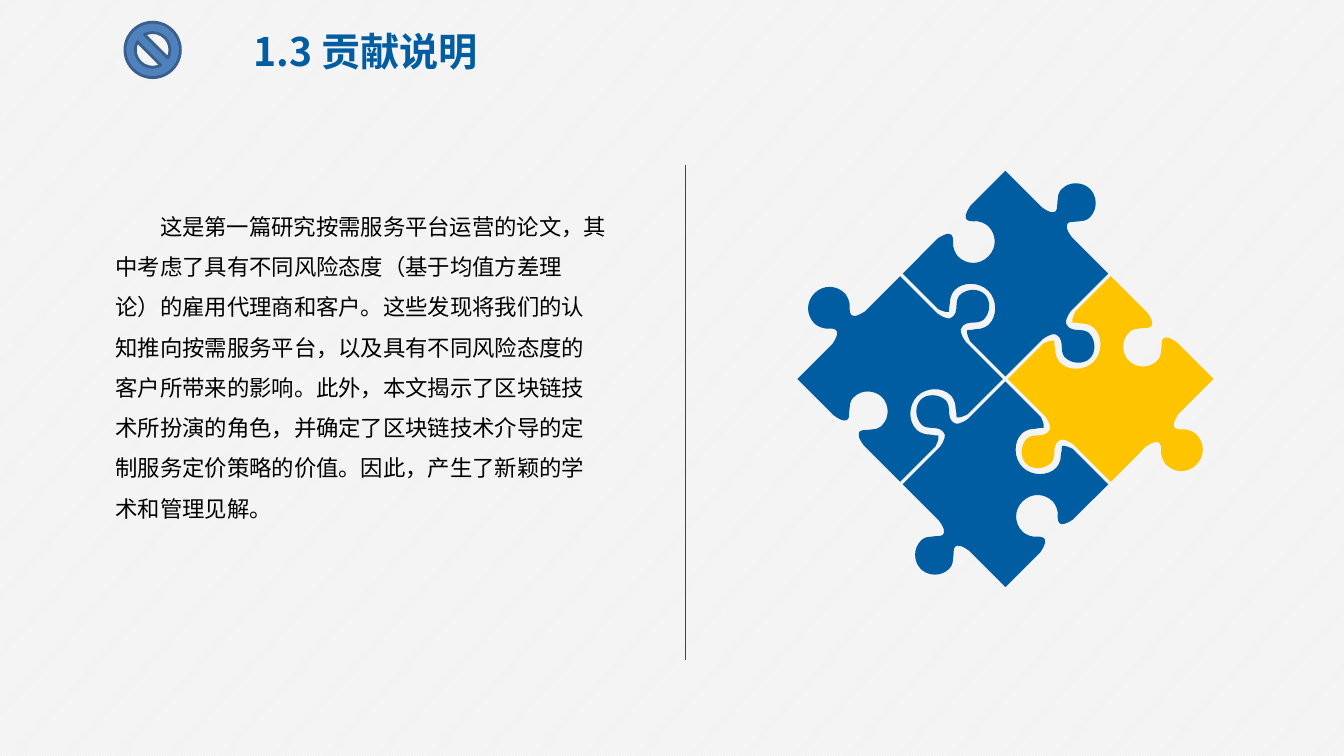
from dataclasses import dataclass

from pptx import Presentation
from pptx import util as u
from pptx.dml.color import RGBColor
from pptx.enum import dml, shapes, text
from pptx.oxml import ns, xmlchemy

Point = tuple[float, float]
Curve = tuple[Point, Point, Point]


@dataclass(frozen=True)
class Theme:
    blue: RGBColor = RGBColor(0x00, 0x5D, 0xA2)
    yellow: RGBColor = RGBColor(0xFF, 0xC4, 0x00)
    badge: RGBColor = RGBColor(0x4F, 0x81, 0xBD)
    badge_edge: RGBColor = RGBColor(0x3A, 0x5F, 0x8C)
    rule: RGBColor = RGBColor(0x41, 0x44, 0x55)
    ink: RGBColor = RGBColor(0, 0, 0)
    paper: RGBColor = RGBColor(0xF2, 0xF2, 0xF2)
    stripe: RGBColor = RGBColor(0xFF, 0xFF, 0xFF)
    heading_font: str = "Noto Sans CJK SC"
    body_font: str = "Calibri"
    heading_size: float = 28
    body_size: float = 16


@dataclass(frozen=True)
class Area:
    """Left, top, width and height in grid cells."""
    left: float
    top: float
    width: float
    height: float

    def emu(self) -> list[int]:
        return [cells(n) for n in (self.left, self.top, self.width, self.height)]


@dataclass(frozen=True)
class Joint:
    """Left half of a jigsaw tab: (along, outward) from the middle of its edge."""
    start: Point
    curves: tuple[Curve, ...]


@dataclass(frozen=True)
class Piece:
    """A diamond and its joints clockwise from the upper right; -1 cuts inward."""
    column: int
    row: int
    color: RGBColor
    joints: tuple[tuple[Joint, int], ...]


THEME = Theme()
CELL = u.Inches(0.1)
COLUMNS, ROWS = 133.4, 75

TITLE_AREA = Area(18.8, 2.2, 35, 5.7)
BODY_AREA = Area(10.5, 19.3, 50.7, 33.3)
BADGE_AREA = Area(12.4, 2.2, 5.5, 5.5)
DIVIDER_X, DIVIDER_TOP, DIVIDER_BOTTOM = 68, 16.4, 65.5
PUZZLE_X, PUZZLE_Y = 99.8, 37.6
PIECE_STEP, PIECE_HALF = 10.45, 10.2

TITLE = "1.3 贡献说明"
BODY = (
    "这是第一篇研究按需服务平台运营的论文，其中考虑了具有不同风险态度（基于均值方差理论）"
    "的雇用代理商和客户。这些发现将我们的认知推向按需服务平台，以及具有不同风险态度的客户"
    "所带来的影响。此外，本文揭示了区块链技术所扮演的角色，并确定了区块链技术介导的定制服"
    "务定价策略的价值。因此，产生了新颖的学术和管理见解。"
)

SHARP = Joint((-1.5, 0), (
    ((-0.8, 0.1), (-0.6, 0.3), (-0.6, 0.5)),
    ((-0.6, 0.7), (-0.9, 0.9), (-1.1, 1.2)),
    ((-1.4, 1.5), (-1.4, 1.8), (-1.4, 1.9)),
    ((-1.4, 2.7), (-0.7, 3.3), (0, 3.3)),
))
BLUNT = Joint((-1.6, 0), (
    ((-0.2, 0.3), (-0.9, 0.8), (-1.2, 1.1)),
    ((-1.5, 1.5), (-1.5, 1.9), (-1.5, 1.9)),
    ((-1.5, 2.7), (-0.9, 3.4), (0, 3.4)),
))
KNOB = Joint((-1.4, 0), (
    ((-0.8, 0.1), (-0.5, 0.3), (-0.5, 0.5)),
    ((-0.4, 0.8), (-0.6, 1.1), (-0.9, 1.4)),
    ((-1.2, 1.7), (-1.2, 2.0), (-1.2, 2.0)),
    ((-1.2, 2.7), (-0.6, 3.3), (0, 3.3)),
))
SOCKET = Joint((-1.6, 0), (
    ((-1.0, 0.2), (-1.0, 0.3), (-0.9, 0.4)),
    ((-1.0, 0.5), (-1.1, 0.6), (-1.3, 0.9)),
    ((-1.7, 1.3), (-1.7, 1.7), (-1.7, 1.8)),
    ((-1.7, 2.6), (-0.9, 3.4), (0, 3.4)),
))

PIECES = (
    Piece(0, -1, THEME.blue, ((SHARP, 1), (KNOB, 1), (SOCKET, -1), (BLUNT, -1))),
    Piece(1, 0, THEME.yellow, ((SHARP, -1), (BLUNT, 1), (KNOB, 1), (SOCKET, -1))),
    Piece(0, 1, THEME.blue, ((SOCKET, -1), (BLUNT, -1), (SHARP, 1), (KNOB, 1))),
    Piece(-1, 0, THEME.blue, ((KNOB, 1), (SOCKET, -1), (SHARP, -1), (BLUNT, 1))),
)


def cells(count: float) -> int:
    return round(count * CELL)


def joint_points(joint: Joint) -> list[Point]:
    """The start and curve points of the half tab, mirrored into a whole one."""
    half = [joint.start, *(point for curve in joint.curves for point in curve)]
    return half + [(-along, out) for along, out in reversed(half[:-1])]


def piece_outline(piece: Piece) -> list[Point]:
    center_x = PUZZLE_X + piece.column * PIECE_STEP
    center_y = PUZZLE_Y + piece.row * PIECE_STEP
    middle = PIECE_HALF / 2
    outline = []
    for turns, (joint, sign) in enumerate(piece.joints):
        for along, out in [(-middle, 0), *joint_points(joint)]:
            x = middle + along + sign * out
            y = -middle + along - sign * out
            for _ in range(turns):
                x, y = -y, x
            outline.append((cells(center_x + x), cells(center_y + y)))
    return outline


def bend_joints(outline, piece: Piece) -> None:
    """Join the points of each tab, three by three, into Bézier curves."""
    steps = iter(list(outline))
    for joint, _ in piece.joints:
        next(steps), next(steps)
        for _ in range(2 * len(joint.curves)):
            bend = xmlchemy.OxmlElement("a:cubicBezTo")
            trio = [next(steps) for _ in range(3)]
            trio[0].addprevious(bend)
            for step in trio:
                bend.append(step[0])
                outline.remove(step)


def add_piece(slide, piece: Piece) -> None:
    start, *rest = piece_outline(piece)
    builder = slide.shapes.build_freeform(*start)
    builder.add_line_segments(rest, close=True)
    diamond = builder.convert_to_shape()
    bend_joints(next(diamond._element.iter(ns.qn("a:path"))), piece)
    diamond.shadow.inherit = False
    diamond.fill.solid()
    diamond.fill.fore_color.rgb = piece.color
    diamond.line.fill.background()


def add_run(paragraph, words: str, font: str, size: float, color: RGBColor,
            bold: bool = False) -> None:
    run = paragraph.add_run()
    run.text = words
    run.font.name, run.font.size, run.font.bold = font, u.Pt(size), bold
    run.font.color.rgb = color
    east_asian = xmlchemy.OxmlElement("a:ea")
    east_asian.set("typeface", THEME.heading_font)
    run.font._element.find(ns.qn("a:latin")).addnext(east_asian)


def add_heading(slide) -> None:
    heading = slide.shapes.title
    heading.left, heading.top, heading.width, heading.height = TITLE_AREA.emu()
    frame = heading.text_frame
    frame.auto_size = text.MSO_AUTO_SIZE.NONE
    frame.vertical_anchor = text.MSO_ANCHOR.MIDDLE
    paragraph = frame.paragraphs[0]
    paragraph.alignment = text.PP_ALIGN.CENTER
    add_run(paragraph, TITLE, THEME.heading_font, THEME.heading_size, THEME.blue, bold=True)


def add_body(slide) -> None:
    frame = slide.shapes.add_textbox(*BODY_AREA.emu()).text_frame
    frame.word_wrap = True
    paragraph = frame.paragraphs[0]
    paragraph.line_spacing = 1.5
    paragraph._p.get_or_add_pPr().set("indent", str(cells(4.4)))
    add_run(paragraph, BODY, THEME.body_font, THEME.body_size, THEME.ink)


def add_divider(slide) -> None:
    x = cells(DIVIDER_X)
    divider = slide.shapes.add_connector(
        shapes.MSO_CONNECTOR.STRAIGHT, x, cells(DIVIDER_BOTTOM), x, cells(DIVIDER_TOP))
    divider.line.color.rgb = THEME.rule
    divider.line.width = u.Pt(0.25)
    divider._element.spPr.append(xmlchemy.OxmlElement("a:effectLst"))


def add_badge(slide) -> None:
    badge = slide.shapes.add_shape(shapes.MSO_SHAPE.NO_SYMBOL, *BADGE_AREA.emu())
    badge.shadow.inherit = False
    badge.fill.solid()
    badge.fill.fore_color.rgb = THEME.badge
    badge.line.color.rgb = THEME.badge_edge
    badge.line.width = u.Pt(2)


def main() -> None:
    deck = Presentation()
    deck.slide_width, deck.slide_height = cells(COLUMNS), cells(ROWS)
    slide = deck.slides.add_slide(deck.slide_layouts.get_by_name("Title Only"))
    backdrop = slide.background.fill
    backdrop.patterned()
    backdrop.pattern = dml.MSO_PATTERN.LIGHT_UPWARD_DIAGONAL
    backdrop.fore_color.rgb = THEME.stripe
    backdrop.back_color.rgb = THEME.paper
    for piece in PIECES:
        add_piece(slide, piece)
    add_divider(slide)
    add_body(slide)
    add_heading(slide)
    add_badge(slide)
    deck.save("out.pptx")


if __name__ == "__main__":
    main()
